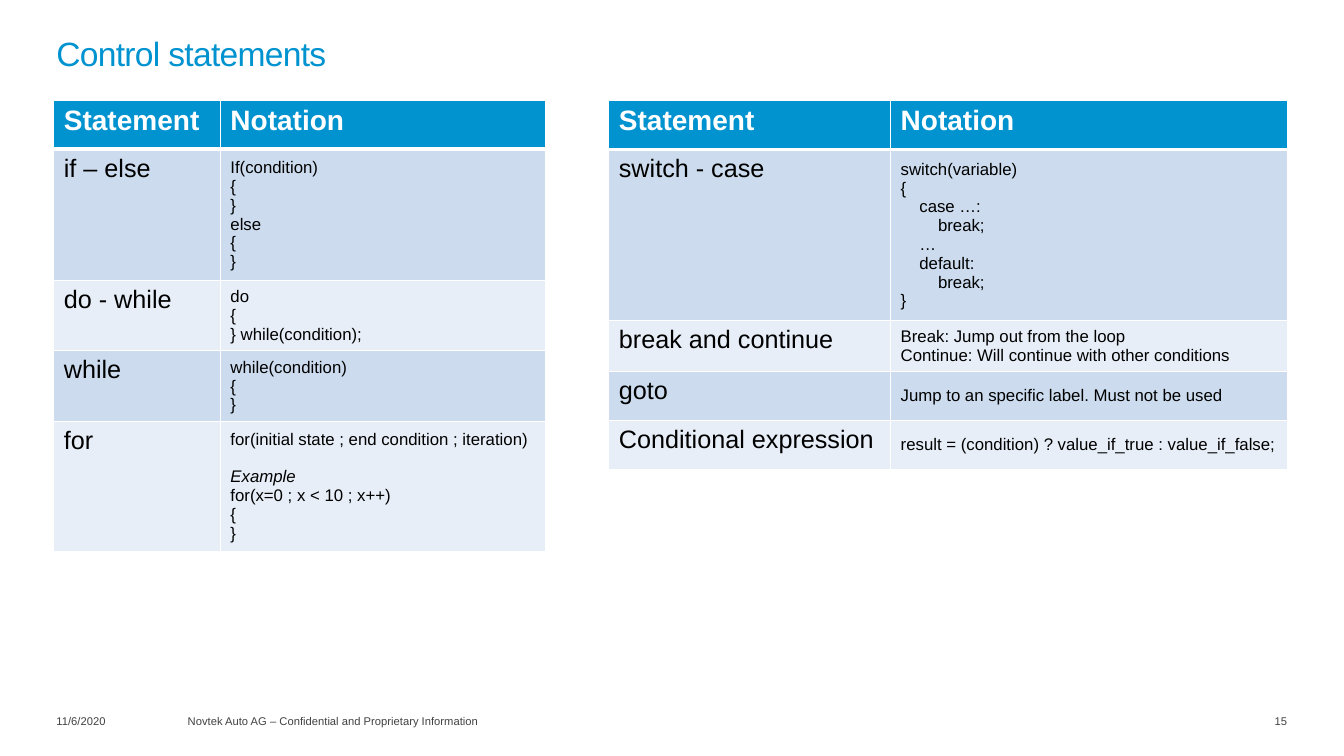
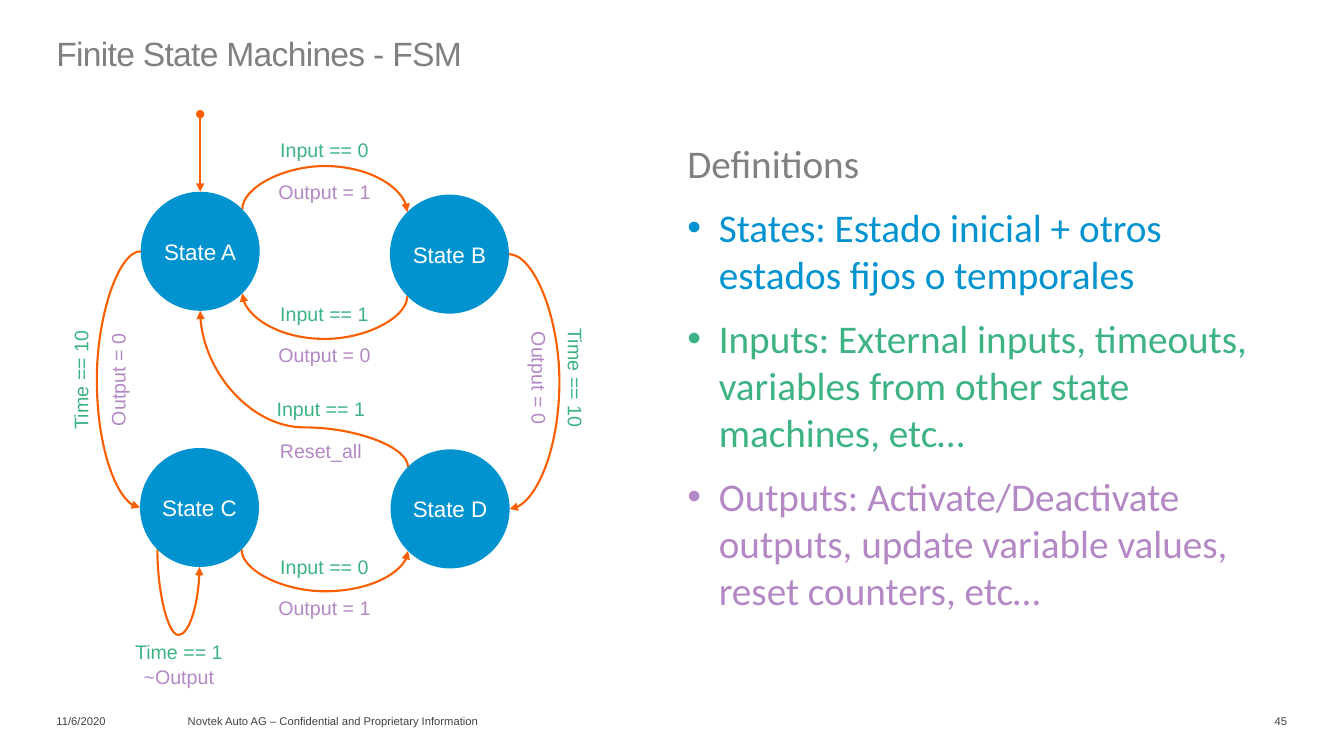
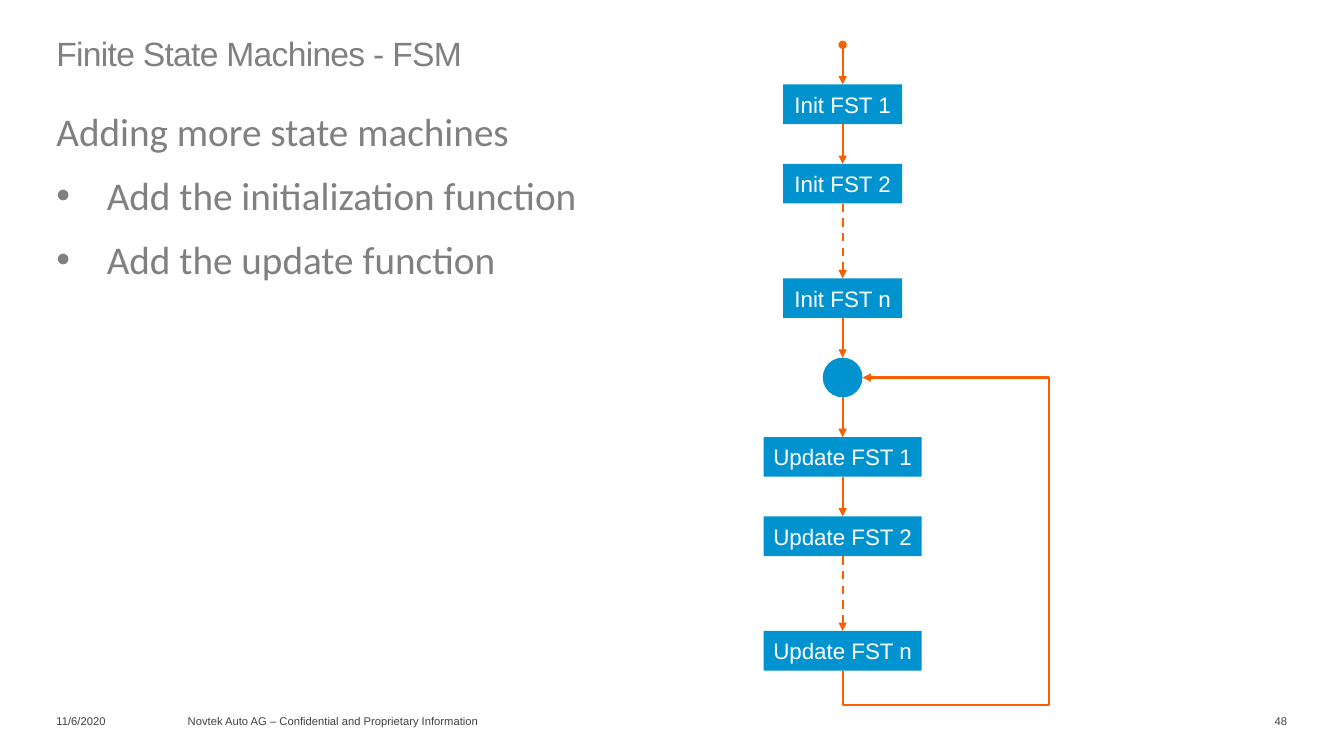
import math
from lxml import etree
from pptx import Presentation
from pptx import util as u
from pptx.dml import color
from pptx.enum import dml, shapes, text
from pptx.oxml import ns

Pt = u.Pt
BLUE, GREY, WHITE, BLACK = "0093D0", "808080", "FFFFFF", "000000"
GREEN, MAUVE, ORANGE, DARK = "3DB384", "B388C5", "F95F00", "414141"
BANDS = "E7EEF7", "CCDCEE"
LEFT, MID, RIGHT = text.PP_ALIGN.LEFT, text.PP_ALIGN.CENTER, text.PP_ALIGN.RIGHT
TOP, CENTRE, BOTTOM = text.MSO_ANCHOR.TOP, text.MSO_ANCHOR.MIDDLE, text.MSO_ANCHOR.BOTTOM
SIZE = 85
LINE = 13.5

LOOPS = [
    ("if – else", 88, "If(condition)|{|}|else|{|}"),
    ("do - while", 49, "do|{|} while(condition);"),
    ("while", 49, "while(condition)|{|}"),
    ("for", 88, "for(initial state ; end condition ; iteration)|Example|for(x=0 ; x < 10 ; x++)|{|}"),
]
JUMPS = [
    ("switch - case", 114, "switch(variable)|{|>case …:|>>break;|>…|>default:|>>break;|}"),
    ("break and continue", 35, "Break: Jump out from the loop|Continue: Will continue with other conditions"),
    ("goto", 35, "Jump to an specific label. Must not be used"),
    ("Conditional expression", 35, "result = (condition) ? value_if_true : value_if_false;"),
]
STATES = {"A": (100.5, 137), "B": (278.5, 139), "C": (100, 320), "D": (279, 321)}
CURVES = [
    ("A", 45, "B", 135, 118.8, True),
    ("A", 180, "C", 180, 69.8, False),
    ("B", 225, "A", 315, 241.9, True),
    ("C", 315, "D", 225, 422.6, True),
    ("D", 135, "A", 270, 305.3, True),
    ("B", 0, "D", 0, 398.9, False),
    ("C", 225, "C", 270, 453.6, True),
]
LABELS = [
    ("Input == 0", "Output = 1", 231.8, 107.3, 0, 29.5, 0),
    ("Input == 1", "Output = 0", 231.8, 223.9, 0, 29.5, 0),
    ("Input == 1", "Reset_all", 229.2, 292.3, 0, 29.5, 0),
    ("Input == 0", "Output = 1", 231.8, 404.6, 0, 29.5, 0),
    ("Time == 1", "~Output", 127.8, 465.8, 0, 17.3, 0),
    ("Time == 10", "Output = 0", 57.6, 271.4, 26.6, 0, 270),
    ("Time == 10", "Output = 0", 411.1, 270, -25.9, 0, 90),
]
STEPS = [
    ("Init FST 1", 85, False),
    ("Init FST 2", 85, False),
    ("Init FST n", 85, True),
    ("", 28.35, False),
    ("Update FST 1", 113, False),
    ("Update FST 2", 113, False),
    ("Update FST n", 113, True),
]


def rgb(code):
    return color.RGBColor.from_string(code)


def add(node, tag, **attrs):
    return etree.SubElement(node, ns.qn(tag), attrs)


def put(par, words, size, tint, face="Arial", align=LEFT, bold=False):
    par.text = words
    par.alignment = align
    font = par.font
    font.name, font.size, font.bold = face, Pt(size), bold
    font.color.rgb = rgb(tint)


def clear(frame, anchor):
    frame.margin_left = frame.margin_right = frame.margin_top = frame.margin_bottom = 0
    frame.vertical_anchor = anchor
    frame.word_wrap = True


def box(slide, x, y, w, h, anchor=TOP):
    shape = slide.shapes.add_textbox(Pt(x), Pt(y), Pt(w), Pt(h))
    clear(shape.text_frame, anchor)
    return shape


def base(deck, title, tint, number):
    slide = deck.slides.add_slide(deck.slide_layouts[6])
    foot = [
        (40.3, 94, "11/6/2020", LEFT),
        (134.1, 607, "Novtek Auto AG – Confidential and Proprietary Information", LEFT),
        (880, 39.4, str(number), RIGHT),
    ]
    for x, w, words, align in foot:
        part = box(slide, x, 500.2, w, 19.6, BOTTOM)
        put(part.text_frame.paragraphs[0], words, 8, DARK, align=align)
    head = box(slide, 40.3, 20, 700, 39.6)
    par = head.text_frame.paragraphs[0]
    put(par, title, 24, tint)
    par.line_spacing = Pt(32)
    for node in head.element.iter(ns.qn("a:defRPr")):
        node.set("spc", "-50")
    return slide


def body(slide, x, y, w, h, indent, lines):
    frame = box(slide, x, y, w, h).text_frame
    for i, (words, tint) in enumerate(lines):
        par = frame.add_paragraph() if i else frame.paragraphs[0]
        par.space_before = par.space_after = Pt(6)
        if i:
            props = par._p.get_or_add_pPr()
            props.set("marL", str(Pt(indent)))
            props.set("indent", str(-Pt(indent)))
            add(props, "a:buFont", typeface="Arial")
            add(props, "a:buChar", char="•")
        put(par, words, 28, tint, "Calibri")


def node(slide, kind, x, y, w, h, words):
    shape = slide.shapes.add_shape(kind, Pt(x), Pt(y), Pt(w), Pt(h))
    shape.shadow.inherit = False
    shape.fill.solid()
    shape.fill.fore_color.rgb = rgb(BLUE)
    shape.line.fill.background()
    clear(shape.text_frame, CENTRE)
    if words:
        put(shape.text_frame.paragraphs[0], words, 16, WHITE, align=MID)


def stroke(shape, dot=False, dash=False):
    shape.line.color.rgb = rgb(ORANGE)
    shape.line.width = Pt(1.5)
    if dash:
        shape.line.dash_style = dml.MSO_LINE.DASH
    props = shape.element.spPr
    line = props.find(ns.qn("a:ln"))
    if dot:
        add(line, "a:headEnd", type="oval")
    add(line, "a:tailEnd", type="triangle")
    add(props, "a:effectLst")


def drop(slide, x, top, end, dot=False, dash=False):
    line = slide.shapes.add_connector(shapes.MSO_CONNECTOR.STRAIGHT, Pt(x), Pt(top), Pt(x), Pt(end))
    stroke(line, dot, dash)


def curve(slide, start, end, bend, tall):
    (x, y), (tox, toy) = start, end
    dx, dy = tox - x, toy - y
    if tall:
        wide, high, ratio = abs(dy), abs(dx), (bend - y) / dy
        turn, flip = (270 if dx > 0 else 90), "flipH"
    else:
        wide, high, ratio = abs(dx), abs(dy), (bend - x) / dx
        turn, flip = (180, "flipV") if dx < 0 else (0, "")
    left, top = (x + tox - wide) / 2, (y + toy - high) / 2
    link = slide.shapes.add_connector(
        shapes.MSO_CONNECTOR.CURVE, Pt(left), Pt(top), Pt(left + wide), Pt(top + high))
    props = link.element.spPr
    frame = props.find(ns.qn("a:xfrm"))
    frame.set("rot", str(turn * 60000))
    if flip:
        frame.set(flip, "1")
    geom = props.find(ns.qn("a:prstGeom"))
    for old in list(geom):
        geom.remove(old)
    add(add(geom, "a:avLst"), "a:gd", name="adj1", fmla=f"val {round(ratio * 100000)}")
    stroke(link)


def rim(name, angle):
    x, y = STATES[name]
    turn, half = math.radians(angle), SIZE / 2
    return x + half + half * math.cos(turn), y + half - half * math.sin(turn)


def label(slide, words, x, y, tint, turn):
    shape = box(slide, x - 40, y - 8.5, 80, 17)
    shape.rotation = turn
    put(shape.text_frame.paragraphs[0], words, 14, tint, align=MID)


def cell(spot, row, col, words):
    spot.fill.solid()
    spot.fill.fore_color.rgb = rgb(BANDS[row % 2] if row else BLUE)
    props = spot._tc.get_or_add_tcPr()
    for i, side in enumerate("LRTB"):
        thick = 3 if (row, side) in ((0, "B"), (1, "T")) else 1
        line = etree.Element(ns.qn("a:ln" + side), w=str(Pt(thick)))
        add(add(line, "a:solidFill"), "a:srgbClr", val=WHITE)
        props.insert(i, line)
    code = row and col
    if code:
        spot.vertical_anchor = CENTRE
    size = 12 if code else 18 if row else 20
    frame = spot.text_frame
    for i, words in enumerate(words.split("|")):
        par = frame.add_paragraph() if i else frame.paragraphs[0]
        plain = words.lstrip(">")
        depth = len(words) - len(plain)
        if depth:
            par._p.get_or_add_pPr().set("marL", str(Pt(13.34 * depth)))
        put(par, plain, size, BLACK if row else WHITE, bold=not row)
        if plain == "Example":
            par.space_before = Pt(LINE)
            par.font.italic = True


def table(slide, x, y, widths, rows):
    rows = [("Statement", 35, "Notation")] + rows
    high = sum(row[1] for row in rows)
    grid = slide.shapes.add_table(len(rows), 2, Pt(x), Pt(y), Pt(sum(widths)), Pt(high)).table
    for i, wide in enumerate(widths):
        grid.columns[i].width = Pt(wide)
    for i, (name, tall, code) in enumerate(rows):
        grid.rows[i].height = Pt(tall)
        cell(grid.cell(i, 0), i, 0, name)
        cell(grid.cell(i, 1), i, 1, code)


def control(deck):
    slide = base(deck, "Control statements", BLUE, 15)
    table(slide, 38.4, 71.6, (119, 232.4), LOOPS)
    table(slide, 434.9, 71.8, (201.3, 283.4), JUMPS)


def machine(deck):
    slide = base(deck, "Finite State Machines - FSM", GREY, 45)
    body(slide, 491, 99.4, 427.7, 342, 22.5, [
        ("Definitions", GREY),
        ("States: Estado inicial + otros estados fijos o temporales", BLUE),
        ("Inputs: External inputs, timeouts, variables from other state machines, etc…", GREEN),
        ("Outputs: Activate/Deactivate outputs, update variable values, reset counters, etc…", MAUVE),
    ])
    for name, (x, y) in STATES.items():
        node(slide, shapes.MSO_SHAPE.OVAL, x, y, SIZE, SIZE, "State " + name)
    x, y = rim("A", 90)
    drop(slide, x, 81.5, y, dot=True)
    for name, angle, goal, turn, bend, tall in CURVES:
        curve(slide, rim(name, angle), rim(goal, turn), bend, tall)
    for cause, act, x, y, dx, dy, turn in LABELS:
        label(slide, cause, x, y, GREEN, turn)
        label(slide, act, x + dx, y + dy, MAUVE, turn)


def flow(deck):
    slide = base(deck, "Finite State Machines - FSM", GREY, 48)
    body(slide, 40.3, 77, 382.3, 126, 36, [
        ("Adding more state machines", GREY),
        ("Add the initialization function", GREY),
        ("Add the update function", GREY),
    ])
    x, y, high = 601.9, 32, 28.35
    for i, (words, wide, dash) in enumerate(STEPS):
        top = y + (53.4 if dash else high)
        drop(slide, x, y, top, dot=not i, dash=dash)
        kind = shapes.MSO_SHAPE.RECTANGLE if words else shapes.MSO_SHAPE.OVAL
        node(slide, kind, x - wide / 2, top, wide, high, words)
        y = top + high
        if not words:
            back = (x + wide / 2, top + high / 2)
    low, far = 503.3, 749.5
    route = slide.shapes.build_freeform(Pt(x), Pt(y))
    turns = [(x, low), (far, low), (far, back[1]), back]
    route.add_line_segments([(Pt(a), Pt(b)) for a, b in turns], close=False)
    loop = route.convert_to_shape()
    loop.fill.background()
    stroke(loop)


def main():
    deck = Presentation()
    deck.slide_width, deck.slide_height = Pt(960), Pt(540)
    control(deck)
    machine(deck)
    flow(deck)
    deck.save("out.pptx")


if __name__ == "__main__":
    main()
